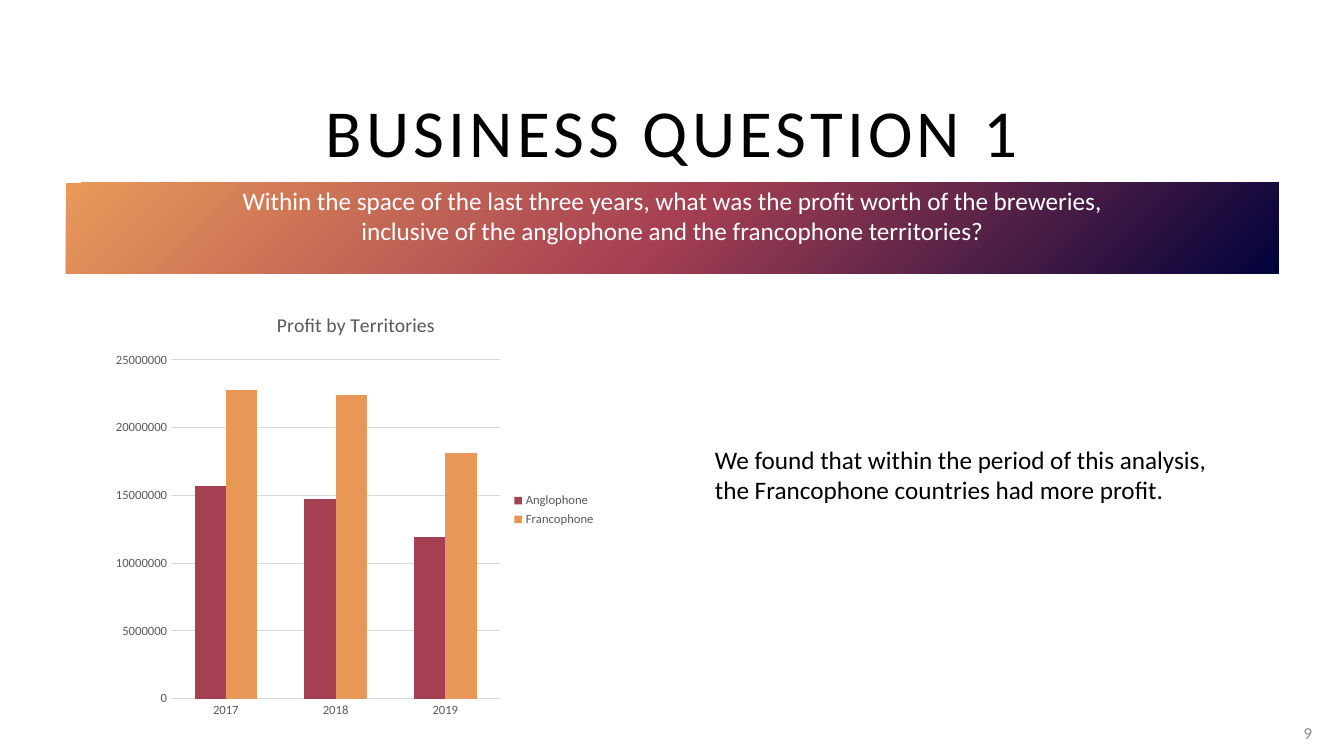
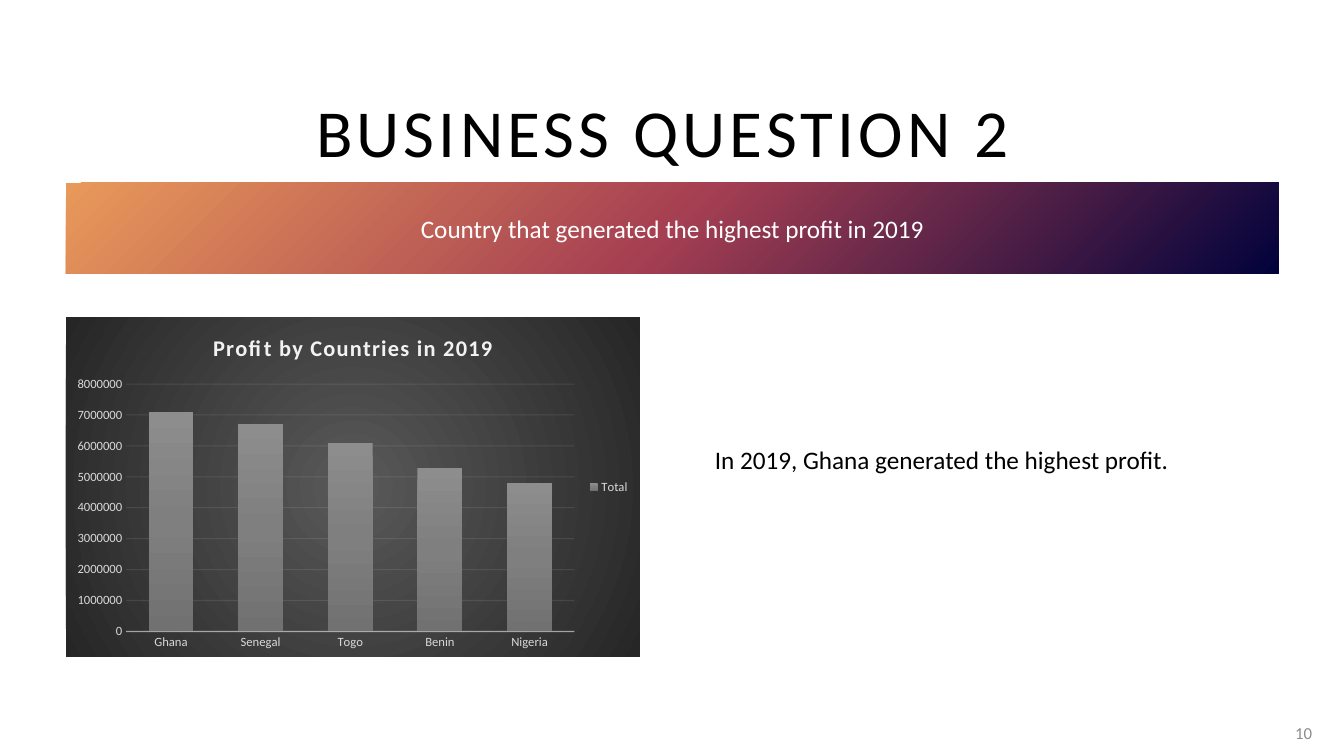
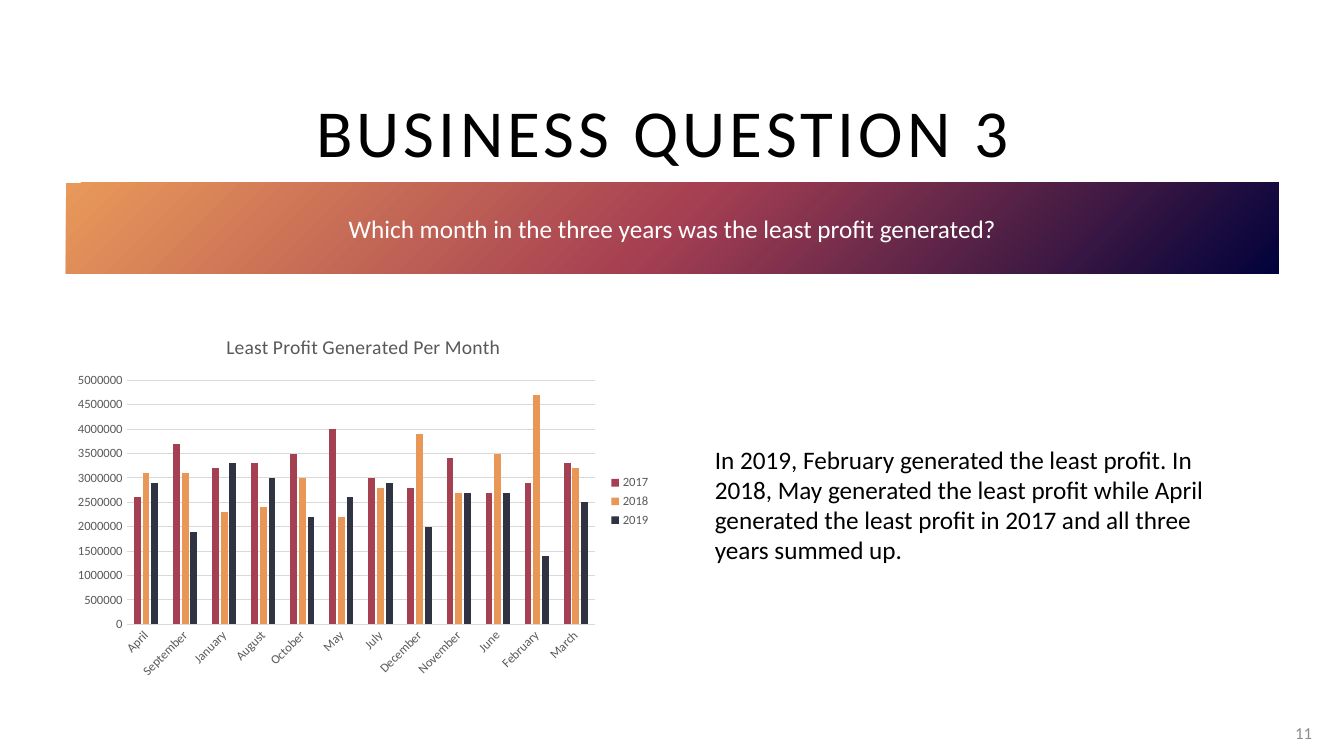
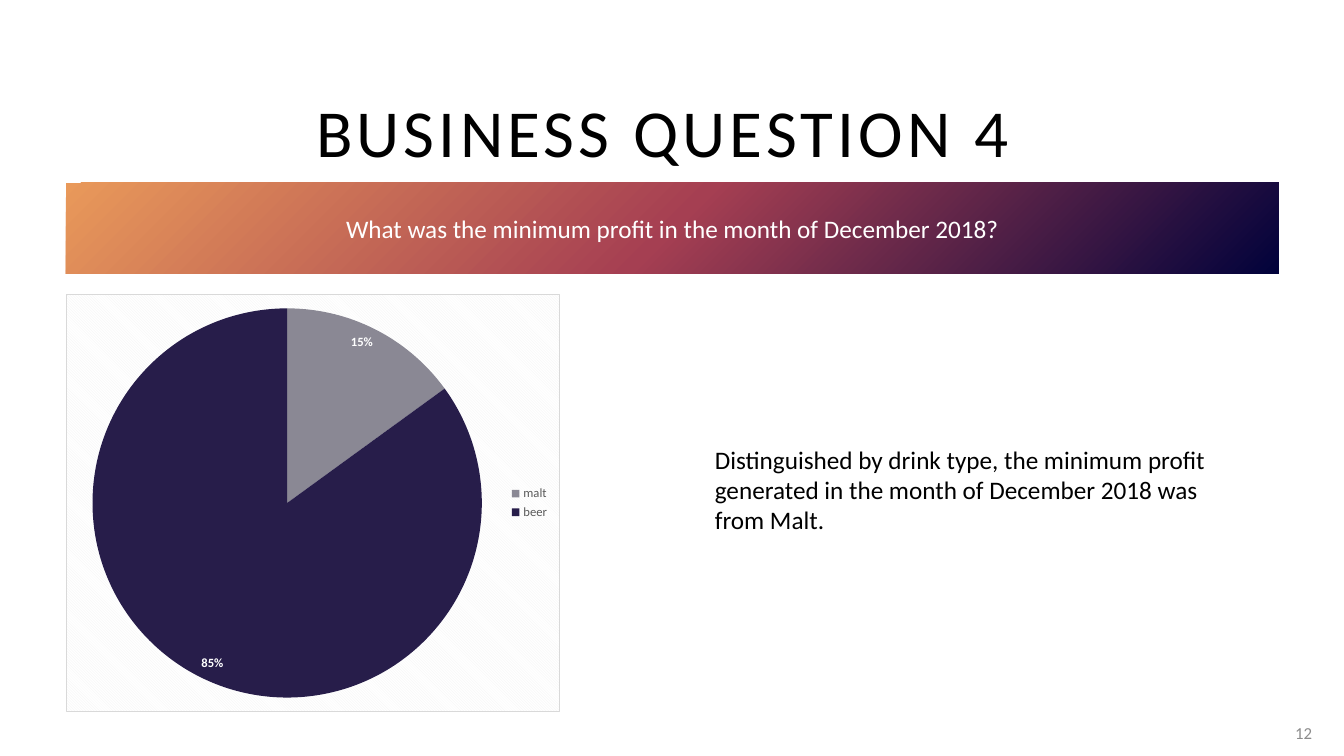
"""Build four business-question slides, each with a chart and its finding."""
from dataclasses import dataclass

from pptx import Presentation
from pptx.chart.data import CategoryChartData
from pptx.dml.color import RGBColor
from pptx.enum.chart import XL_CHART_TYPE as ChartType
from pptx.enum.chart import XL_LABEL_POSITION as LabelPosition
from pptx.enum.chart import XL_LEGEND_POSITION as LegendPosition
from pptx.enum.chart import XL_TICK_MARK as TickMark
from pptx.enum.shapes import MSO_SHAPE as Shape
from pptx.enum.text import MSO_ANCHOR as Anchor
from pptx.enum.text import MSO_AUTO_SIZE as AutoSize
from pptx.enum.text import PP_ALIGN as Align
from pptx.oxml import parse_xml
from pptx.oxml.ns import nsdecls
from pptx.util import Pt

SLIDE_W, SLIDE_H = 1344, 756
EMU_PER_PX = 12192000 / SLIDE_W


@dataclass(frozen=True)
class Theme:
    font: str = "Calibri"
    black: str = "000000"
    white: str = "FFFFFF"
    footer: str = "8C8C8C"
    label: str = "595959"
    grid: str = "D9D9D9"
    dark_label: str = "D9D9D9"
    dark_line: str = "F2F2F2"
    wine: str = "A53F52"
    orange: str = "E99757"
    slate: str = "2F3342"
    malt: str = "8A8894"
    beer: str = "271D4A"
    band_stops: tuple = ((0, "01023B"), (50, "A53F52"), (100, "E9995A"))
    dark_stops: tuple = ((0, "595959"), (100, "262626"))
    bar_stops: tuple = ((0, "8D8D8D"), (50, "7F7F7F"), (100, "717171"))
    title_size: int = 48
    body_size: int = 18
    footer_size: int = 12
    chart_title_size: int = 14
    dark_title_size: int = 16
    chart_size: int = 10
    label_size: int = 9


def px(*lengths):
    return [round(length * EMU_PER_PX) for length in lengths]


def rgb(code):
    return RGBColor.from_string(code)


def solid_xml(code):
    return f'<a:solidFill><a:srgbClr val="{code}"/></a:solidFill>'


def gradient_xml(stops, direction):
    marks = "".join(
        f'<a:gs pos="{place * 1000}"><a:srgbClr val="{code}"/></a:gs>'
        for place, code in stops
    )
    return f'<a:gradFill rotWithShape="1"><a:gsLst>{marks}</a:gsLst>{direction}</a:gradFill>'


def circle_xml(left, top, right, bottom):
    sides = zip("ltrb", (left, top, right, bottom))
    focus = " ".join(f'{side}="{share * 1000}"' for side, share in sides)
    return f'<a:path path="circle"><a:fillToRect {focus}/></a:path>'


def replace_no_fill(properties, fill_xml):
    fill = parse_xml(fill_xml.replace(">", f" {nsdecls('a')}>", 1))
    empty = properties.xpath("./a:noFill")[0]
    properties.replace(empty, fill)


class Deck:
    def __init__(self, theme):
        self.theme = theme
        self.presentation = Presentation()
        self.presentation.slide_width, self.presentation.slide_height = px(SLIDE_W, SLIDE_H)
        self.slide = None

    def style(self, font, size, color, bold=False):
        font.name = self.theme.font
        font.size = Pt(size)
        font.color.rgb = rgb(color)
        font.bold = bold

    def set_text(self, frame, text, size, color, align=Align.LEFT, anchor=Anchor.MIDDLE, spacing=0):
        frame.text = text
        frame.word_wrap = True
        frame.auto_size = AutoSize.NONE
        frame.vertical_anchor = anchor
        for paragraph in frame.paragraphs:
            paragraph.alignment = align
            for run in paragraph.runs:
                self.style(run.font, size, color)
                if spacing:
                    run.font._element.set("spc", str(spacing * 100))

    def text_box(self, box, text, size, color, **layout):
        frame = self.slide.shapes.add_textbox(*px(*box)).text_frame
        self.set_text(frame, text, size, color, **layout)
        return frame

    def question(self, title, question, page, band_anchor=Anchor.MIDDLE):
        theme = self.theme
        self.slide = self.presentation.slides.add_slide(self.presentation.slide_layouts[5])
        heading = self.slide.shapes.title
        heading.left, heading.top, heading.width, heading.height = px(66, 85, 1213, 91)
        self.set_text(heading.text_frame, title, theme.title_size, theme.black,
                      align=Align.CENTER, spacing=3)
        self.band(question, band_anchor)
        self.text_box((1273, 713, 49, 40), str(page), theme.footer_size, theme.footer,
                      align=Align.RIGHT)

    def band(self, question, anchor):
        theme = self.theme
        band = self.slide.shapes.add_shape(Shape.RECTANGLE, *px(66, 183, 1213, 91))
        band.shadow.inherit = False
        band.line.fill.background()
        band.fill.background()
        replace_no_fill(band.element.spPr, gradient_xml(theme.band_stops, circle_xml(100, 100, 0, 0)))
        self.set_text(band.text_frame, question, theme.body_size, theme.white,
                      align=Align.CENTER, anchor=anchor)
        if anchor == Anchor.TOP:
            band.text_frame.margin_top = px(2)[0]

    def finding(self, text, lines):
        theme = self.theme
        frame = self.text_box((705, 439, 551, 10 + 30 * lines), text, theme.body_size,
                              theme.black, anchor=Anchor.TOP)
        frame.auto_size = AutoSize.SHAPE_TO_FIT_TEXT

    def chart(self, kind, box, categories, series, label, back="<a:noFill/>", border="<a:noFill/>"):
        theme = self.theme
        data = CategoryChartData()
        data.categories = categories
        for name, values in series:
            data.add_series(name, values)
        chart = self.slide.shapes.add_chart(kind, *px(*box), data).chart
        self.style(chart.font, theme.chart_size, theme.black)
        chart.has_title = False
        chart.has_legend = True
        chart.legend.position = LegendPosition.RIGHT
        chart.legend.include_in_layout = False
        self.style(chart.legend.font, theme.label_size, label)
        area = parse_xml(f'<c:spPr {nsdecls("c", "a")}>{back}<a:ln w="9525">{border}</a:ln></c:spPr>')
        chart.element.xpath("./c:chart")[0].addnext(area)
        return chart

    def chart_title(self, chart, text, size, color, bold=False, spacing=0):
        chart.has_title = True
        frame = chart.chart_title.text_frame
        frame.text = text
        font = frame.paragraphs[0].runs[0].font
        self.style(font, size, color, bold)
        if spacing:
            font._element.set("spc", str(spacing * 100))

    def axes(self, chart, label, grid):
        for axis in (chart.category_axis, chart.value_axis):
            axis.major_tick_mark = axis.minor_tick_mark = TickMark.NONE
            axis.format.line.fill.background()
            self.style(axis.tick_labels.font, self.theme.label_size, label)
        chart.category_axis.has_major_gridlines = False
        chart.value_axis.has_major_gridlines = True
        self.line(chart.value_axis.major_gridlines.format.line, grid)

    def line(self, line, color, width=0.75):
        line.color.rgb = rgb(color)
        line.width = Pt(width)

    def fade(self, chart, part, percent):
        for color in chart.element.xpath(f".//{part}/c:spPr//a:srgbClr"):
            color.append(parse_xml(f'<a:alpha {nsdecls("a")} val="{percent * 1000}"/>'))

    def columns(self, box, title, categories, series, gap, overlap=0):
        theme = self.theme
        chart = self.chart(ChartType.COLUMN_CLUSTERED, box, categories, series, theme.label)
        self.chart_title(chart, title, theme.chart_title_size, theme.label)
        self.axes(chart, theme.label, theme.grid)
        plot = chart.plots[0]
        plot.vary_by_categories = False
        plot.gap_width, plot.overlap = gap, overlap
        for bars, color in zip(plot.series, (theme.wine, theme.orange, theme.slate)):
            bars.format.fill.solid()
            bars.format.fill.fore_color.rgb = rgb(color)
        return chart

    def slanted_columns(self, *content, **spacing):
        chart = self.columns(*content, **spacing)
        self.line(chart.category_axis.format.line, self.theme.grid)
        chart.element.xpath(".//c:catAx/c:txPr/a:bodyPr")[0].set("rot", "-2700000")

    def dark_columns(self, box, title, categories, series, gap, overlap):
        theme = self.theme
        back = gradient_xml(theme.dark_stops, circle_xml(50, 50, 50, 50))
        chart = self.chart(ChartType.COLUMN_CLUSTERED, box, categories, series,
                           theme.dark_label, back)
        self.chart_title(chart, title, theme.dark_title_size, theme.dark_line, True, 1)
        self.axes(chart, theme.dark_label, theme.dark_line)
        self.line(chart.category_axis.format.line, theme.dark_line, 1)
        self.fade(chart, "c:majorGridlines", 10)
        self.fade(chart, "c:catAx", 54)
        plot = chart.plots[0]
        plot.vary_by_categories = False
        plot.gap_width, plot.overlap = gap, overlap
        plot.series[0].format.fill.background()
        replace_no_fill(chart.element.xpath(".//c:ser/c:spPr")[0],
                        gradient_xml(theme.bar_stops, '<a:lin ang="5400000" scaled="0"/>'))

    def pie(self, box, categories, series):
        theme = self.theme
        back = (f'<a:pattFill prst="dkDnDiag"><a:fgClr><a:srgbClr val="{theme.dark_line}"/></a:fgClr>'
                f'<a:bgClr><a:srgbClr val="{theme.white}"/></a:bgClr></a:pattFill>')
        chart = self.chart(ChartType.PIE, box, categories, series, theme.label, back,
                           solid_xml(theme.grid))
        if not chart.element.xpath("./c:roundedCorners"):
            chart.element.insert(0, parse_xml(f'<c:roundedCorners {nsdecls("c")} val="0"/>'))
        plot = chart.plots[0]
        plot.vary_by_categories = True
        for place, color in enumerate((theme.malt, theme.beer)):
            slice_format = plot.series[0].points[place].format
            slice_format.fill.solid()
            slice_format.fill.fore_color.rgb = rgb(color)
            slice_format.line.fill.background()
        plot.has_data_labels = True
        shares = plot.data_labels
        shares.show_percentage, shares.show_value = True, False
        shares.number_format, shares.number_format_is_linked = "0%", False
        shares.position = LabelPosition.INSIDE_END
        self.style(shares.font, theme.label_size, theme.white, True)


def millions(*values):
    return [round(value * 1000000) for value in values]


def main():
    deck = Deck(Theme())

    deck.question(
        "BUSINESS QUESTION 1",
        "Within the space of the last three years, what was the profit worth of the breweries,\n"
        "inclusive of the anglophone and the francophone territories?", 9, Anchor.TOP)
    deck.columns((106, 294, 500, 432), "Profit by Territories", ("2017", "2018", "2019"), (
        ("Anglophone", millions(15.7, 14.7, 11.9)),
        ("Francophone", millions(22.8, 22.4, 18.1)),
    ), gap=150)
    deck.finding("We found that within the period of this analysis, the Francophone countries "
                 "had more profit.", 2)

    deck.question("BUSINESS QUESTION 2 ", "Country that generated the highest profit in 2019", 10)
    deck.dark_columns((66, 317, 574, 340), "Profit by Countries in 2019",
                      ("Ghana", "Senegal", "Togo", "Benin", "Nigeria"),
                      (("Total", millions(7.1, 6.7, 6.1, 5.3, 4.8)),), gap=100, overlap=-24)
    deck.finding("In 2019, Ghana generated the highest profit.", 1)

    deck.question("BUSINESS QUESTION 3 ",
                  "Which month in the three years was the least profit generated?", 11)
    months = ("April", "September", "January", "August", "October", "May", "July",
              "December", "November", "June", "February", "March")
    deck.slanted_columns((66, 317, 595, 369), "Least Profit Generated Per Month", months, (
        ("2017", millions(2.6, 3.7, 3.2, 3.3, 3.5, 4, 3, 2.8, 3.4, 2.7, 2.9, 3.3)),
        ("2018", millions(3.1, 3.1, 2.3, 2.4, 3, 2.2, 2.8, 3.9, 2.7, 3.5, 4.7, 3.2)),
        ("2019", millions(2.9, 1.9, 3.3, 3, 2.2, 2.6, 2.9, 2, 2.7, 2.7, 1.4, 2.5)),
    ), gap=219, overlap=-27)
    deck.finding("In 2019, February generated the least profit. In 2018, May generated the least "
                 "profit while April generated the least profit in 2017 and all three years "
                 "summed up.", 4)

    deck.question("BUSINESS QUESTION 4 ",
                  "What was the minimum profit in the month of December 2018?", 12)
    deck.pie((66, 294, 494, 418), ("malt", "beer"), (("Series 1", (15, 85)),))
    deck.finding("Distinguished by drink type, the minimum profit generated in the month of "
                 "December 2018 was from Malt.", 3)

    deck.presentation.save("out.pptx")


if __name__ == "__main__":
    main()
